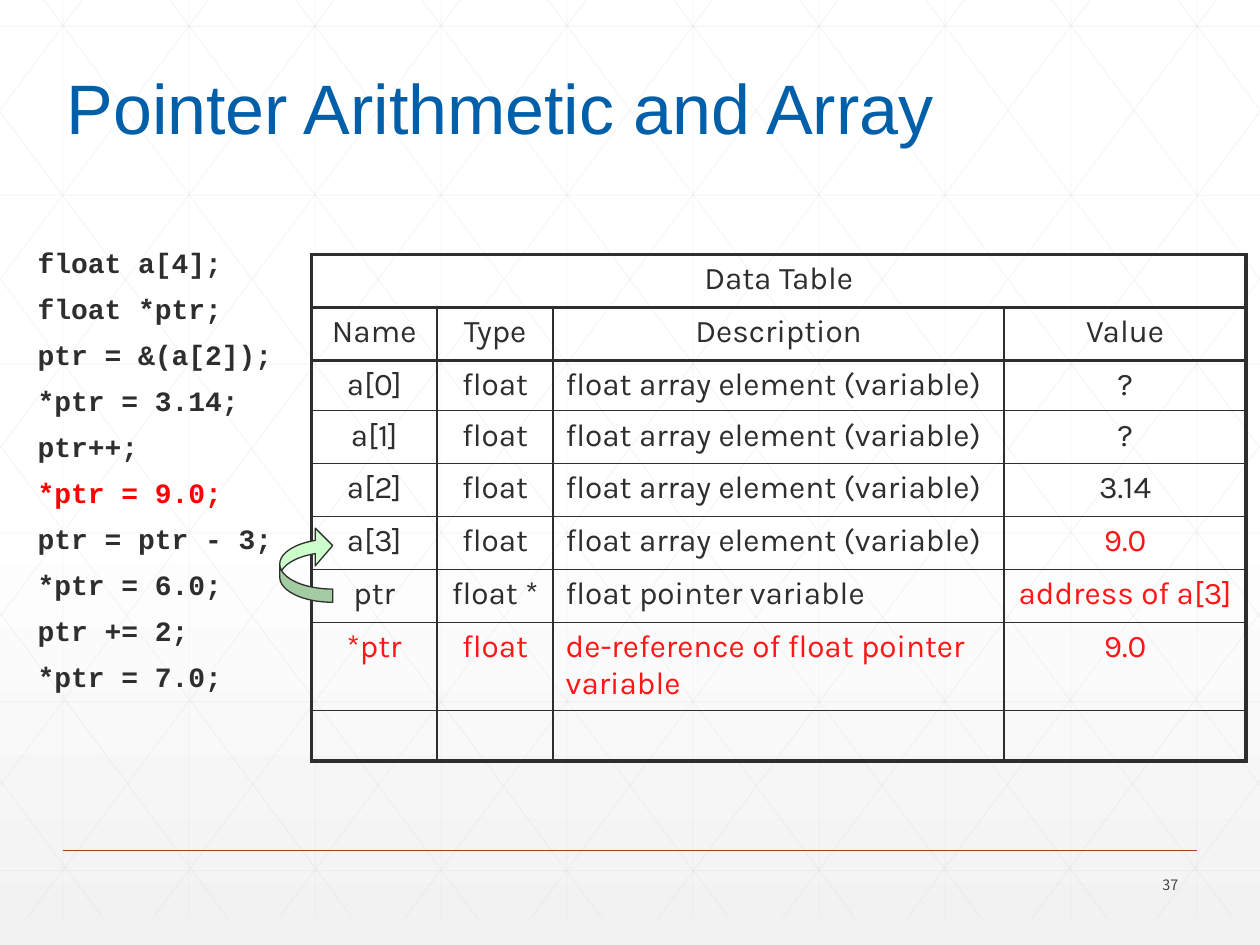
from typing import NamedTuple

from lxml import etree
from pptx import Presentation
from pptx.dml.color import RGBColor
from pptx.enum.shapes import MSO_CONNECTOR, MSO_SHAPE
from pptx.enum.text import MSO_ANCHOR, MSO_AUTO_SIZE, PP_ALIGN
from pptx.oxml.ns import qn
from pptx.util import Inches, Pt

STRAIGHT = MSO_CONNECTOR.STRAIGHT
CURVED_ARROW = MSO_SHAPE.CURVED_LEFT_ARROW
LEFT, CENTER, RIGHT = PP_ALIGN.LEFT, PP_ALIGN.CENTER, PP_ALIGN.RIGHT
MIDDLE, FIT = MSO_ANCHOR.MIDDLE, MSO_AUTO_SIZE.SHAPE_TO_FIT_TEXT

INK, BLUE, RED, CELL_RED = "2D2E2D", "005FA9", "FF0000", "FF1717"
GRID, RULE, NUMBER, MINT = "D9D9D9", "A43F27", "424342", "CCFFCC"
WIDTH, TOP, BOTTOM = 10, -0.21, 7.29
THIN, THICK = 1, 2.25


class Style(NamedTuple):
    font: str
    size: float
    color: str
    bold: bool = False


class Row(NamedTuple):
    texts: tuple[str, ...]
    height: float = 0.42
    red: tuple[int, ...] = ()


TITLE = Style("Arial", 40, BLUE)
CODE = Style("Courier New", 16, INK, True)
CELL = Style("Karla", 18, INK)
PAGE = Style("Noto Sans CJK TC", 8.2, NUMBER)

CODE_LINES = ("float a[4];", "float *ptr;", "ptr = &(a[2]);", "*ptr = 3.14;",
              "ptr++;", "*ptr = 9.0;", "ptr = ptr - 3;", "*ptr = 6.0;",
              "ptr += 2;", "*ptr = 7.0;")
CURRENT_LINE = 5
ELEMENT = "float array element (variable)"
COLUMNS = (1, 0.92, 3.58, 1.92)
DESCRIPTION = 2
ROWS = (
    Row(("Data Table", "", "", "")),
    Row(("Name", "Type", "Description", "Value")),
    Row(("a[0]", "float", ELEMENT, "?"), 0.4),
    Row(("a[1]", "float", ELEMENT, "?")),
    Row(("a[2]", "float", ELEMENT, "3.14")),
    Row(("a[3]", "float", ELEMENT, "9.0"), red=(3,)),
    Row(("ptr", "float *", "float pointer variable", "address of a[3]"), red=(3,)),
    Row(("*ptr", "float", "de-reference of float pointer variable", "9.0"),
        0.7, (0, 1, 2, 3)),
    Row(("", "", "", ""), 0.4),
)


def rgb(color: str) -> RGBColor:
    return RGBColor.from_string(color)


def add_run(p, text: str, style: Style) -> None:
    r = p.add_run()
    r.text = text
    r.font.name, r.font.size, r.font.bold = style.font, Pt(style.size), style.bold
    r.font.color.rgb = rgb(style.color)


def add_line(s, x1: float, y1: float, x2: float, y2: float,
             color: str = GRID, width: float = 0.5, alpha: int = 25) -> None:
    line = s.shapes.add_connector(STRAIGHT, Inches(x1), Inches(y1), Inches(x2), Inches(y2))
    line.line.color.rgb = rgb(color)
    line.line.width = Pt(width)
    if alpha < 100:
        tint = line.line._ln.find(".//" + qn("a:srgbClr"))
        etree.SubElement(tint, qn("a:alpha"), val=str(alpha * 1000))
    etree.SubElement(line._element.spPr, qn("a:effectLst"))


def add_background(s) -> None:
    fill = s.background.fill
    fill.gradient()
    fill.gradient_angle = 270
    for stop, position, color in zip(fill.gradient_stops, (0.53, 1), ("FFFFFF", "F2F2F2")):
        stop.position = position
        stop.color.rgb = rgb(color)


def add_lattice(s) -> None:
    for k in range(10):
        add_line(s, 0.5 + k, TOP, 0.5 + k, BOTTOM)
    for k in range(6):
        y = 0.21 + 1.34 * k
        add_line(s, 0, y, WIDTH, y)
    slope = 1.34
    for k in range(10):
        x = 0.19 + k
        end = min(x + (BOTTOM - TOP) / slope, WIDTH)
        y = TOP + (end - x) * slope
        add_line(s, x, TOP, end, y)
        add_line(s, WIDTH - x, TOP, WIDTH - end, y)
    for k in range(5):
        x = 4.78 - 0.99 * k
        y = BOTTOM - x * slope
        add_line(s, x, BOTTOM, 0, y)
        add_line(s, WIDTH - x, BOTTOM, WIDTH, y)


def add_textbox(s, x: float, y: float, w: float, h: float):
    tf = s.shapes.add_textbox(Inches(x), Inches(y), Inches(w), Inches(h)).text_frame
    tf.word_wrap = True
    return tf


def add_code(s) -> None:
    tf = add_textbox(s, 0.2, 1.93, 2.25, 4.5)
    for i, text in enumerate(CODE_LINES):
        p = tf.add_paragraph() if i else tf.paragraphs[0]
        p.line_spacing = 0.9
        if i:
            p.space_before = Pt(9)
        add_run(p, text, CODE._replace(color=RED) if i == CURRENT_LINE else CODE)


def set_borders(cell, widths: dict[str, float]) -> None:
    tc_pr = cell._tc.get_or_add_tcPr()
    for side, width in widths.items():
        ln = etree.SubElement(tc_pr, qn(f"a:ln{side}"), w=str(Pt(width)))
        fill = etree.SubElement(ln, qn("a:solidFill"))
        etree.SubElement(fill, qn("a:srgbClr"), val=INK)


def add_data_table(s) -> None:
    heights = [row.height for row in ROWS]
    table = s.shapes.add_table(len(ROWS), len(COLUMNS), Inches(2.47), Inches(2.02),
                               Inches(sum(COLUMNS)), Inches(sum(heights))).table
    table.first_row = table.horz_banding = False
    for column, width in zip(table.columns, COLUMNS):
        column.width = Inches(width)
    last_row, last_col = len(ROWS) - 1, len(COLUMNS) - 1
    for i, row in enumerate(ROWS):
        table.rows[i].height = Inches(row.height)
        for j, text in enumerate(row.texts):
            cell = table.cell(i, j)
            set_borders(cell, {
                "L": THICK if i == 0 or j == 0 else THIN,
                "R": THICK if i == 0 or j == last_col else THIN,
                "T": THICK if i <= 2 else THIN,
                "B": THICK if i <= 1 or i == last_row else THIN,
            })
            cell.fill.background()
            if text:
                p = cell.text_frame.paragraphs[0]
                p.alignment = LEFT if j == DESCRIPTION and i > 1 else CENTER
                add_run(p, text, CELL._replace(color=CELL_RED) if j in row.red else CELL)
    table.cell(0, 0).merge(table.cell(0, last_col))


def add_pointer_arrow(s) -> None:
    sp = s.shapes.add_shape(CURVED_ARROW, Inches(2.22), Inches(4.18), Inches(0.42), Inches(0.6))
    sp.rotation = 180
    for i, value in enumerate((0.25, 0.77, 0.33)):
        sp.adjustments[i] = value
    sp.shadow.inherit = False
    sp.fill.solid()
    sp.fill.fore_color.rgb = rgb(MINT)
    sp.line.color.rgb = rgb(INK)
    sp.line.width = Pt(0.75)


def main() -> None:
    """Build the pointer arithmetic slide and save it."""
    prs = Presentation()
    prs.slide_width, prs.slide_height = Inches(WIDTH), Inches(7.5)
    s = prs.slides.add_slide(prs.slide_layouts[6])
    add_background(s)
    add_lattice(s)
    add_line(s, 0.5, 6.75, 9.5, 6.75, RULE, 1, 100)
    tf = add_textbox(s, 8.7, 6.9, 0.75, 0.24)
    tf.vertical_anchor = MIDDLE
    tf.paragraphs[0].alignment = RIGHT
    add_run(tf.paragraphs[0], "37", PAGE)
    tf = add_textbox(s, 0.43, 0.46, 7.16, 0.77)
    tf.word_wrap, tf.auto_size = False, FIT
    add_run(tf.paragraphs[0], "Pointer Arithmetic and Array", TITLE)
    add_code(s)
    add_data_table(s)
    add_pointer_arrow(s)
    prs.save("out.pptx")


if __name__ == "__main__":
    main()
